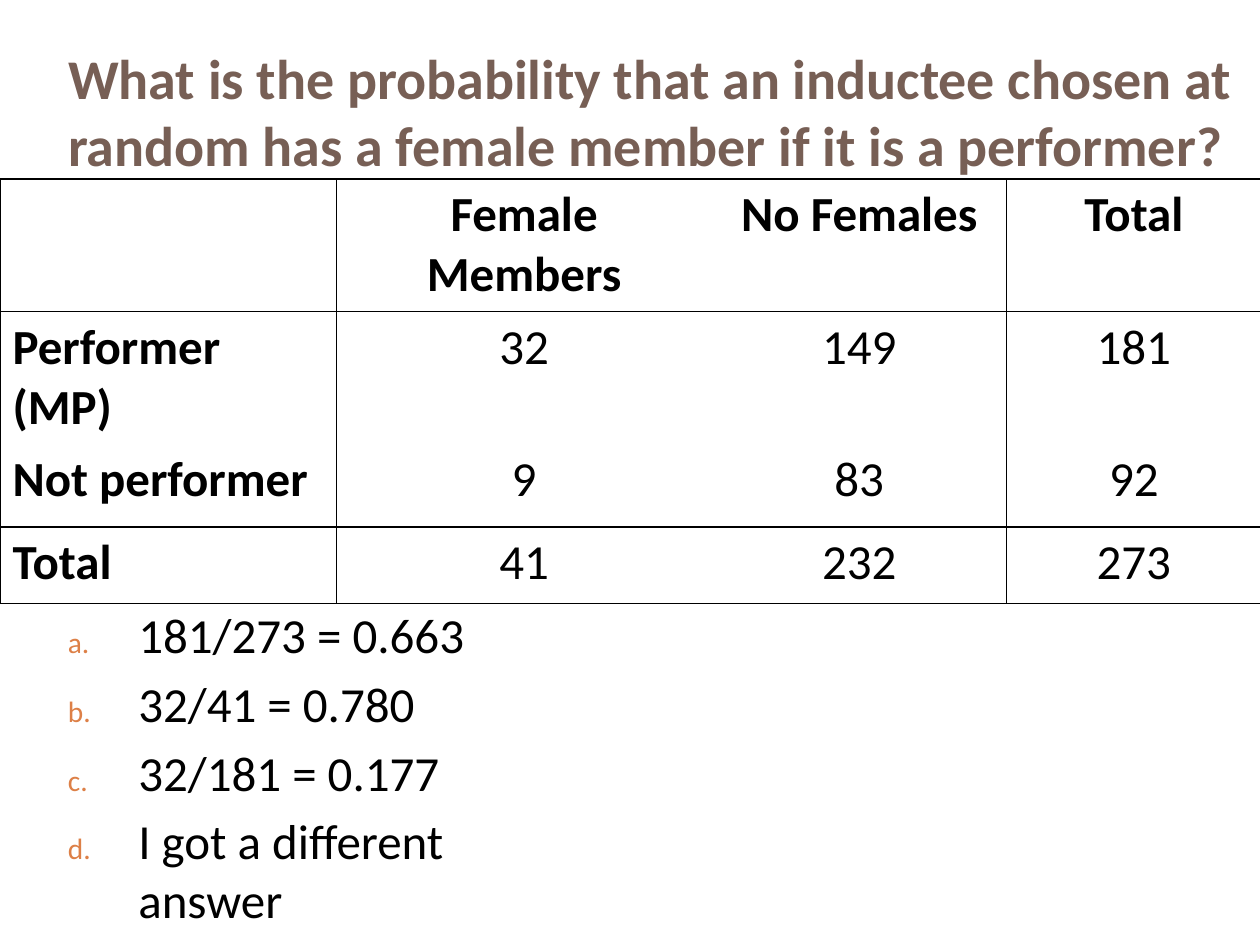
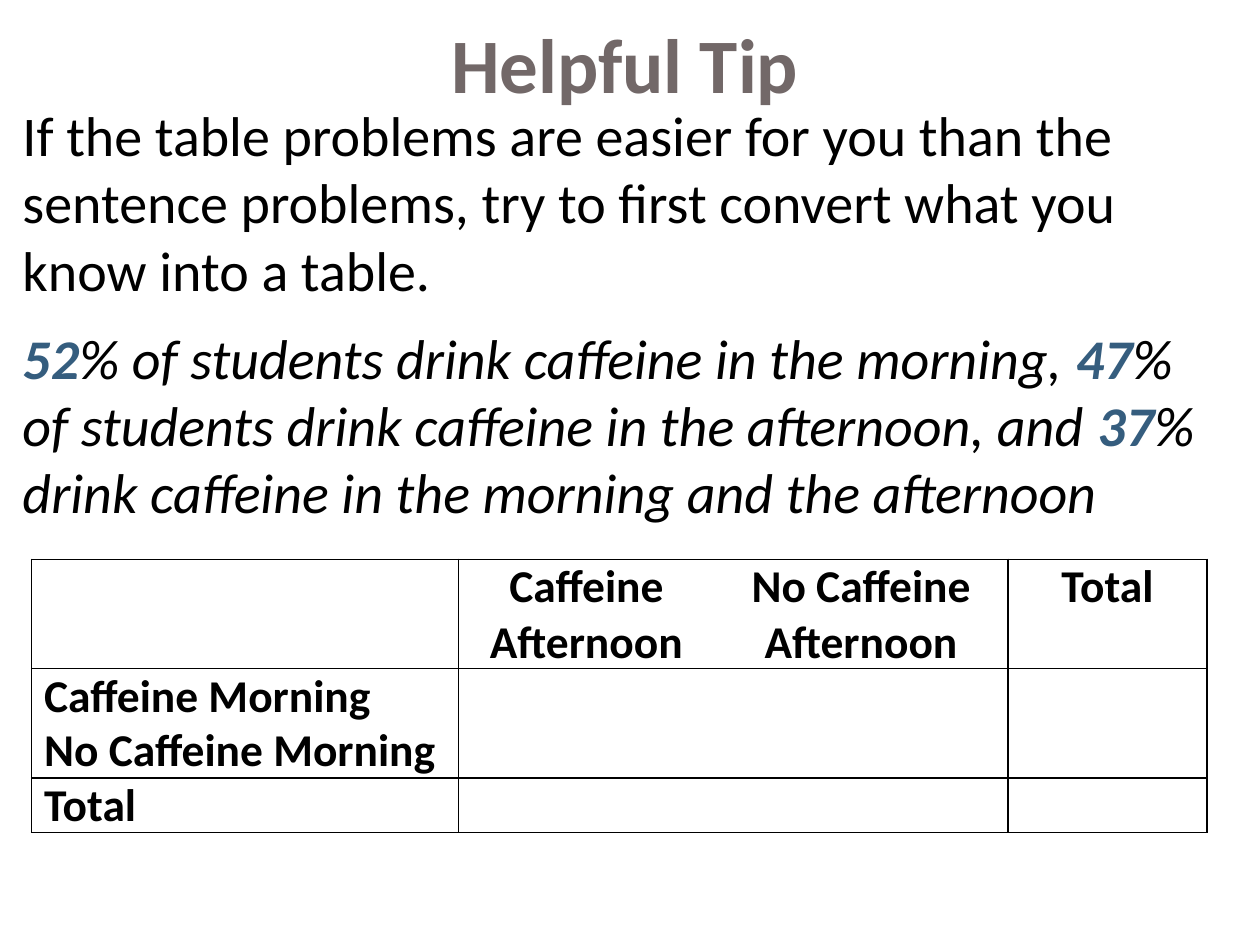
from dataclasses import dataclass

from lxml import etree
from pptx import Presentation
from pptx.dml.color import RGBColor
from pptx.enum import text as t
from pptx.oxml import ns
from pptx.util import Inches, Pt


@dataclass(frozen=True)
class Theme:
    font: str = "Calibri"
    ink: str = "000000"
    paper: str = "FFFFFF"
    brown: str = "775F55"
    grey: str = "726868"
    blue: str = "355D7E"
    orange: str = "DD8047"
    tip_title: int = 44
    large: int = 32
    body: int = 28
    compact: int = 26
    rule: int = 1


THEME = Theme()
CENTER = t.PP_ALIGN.CENTER

QUESTION = ("What is the probability that an inductee chosen at random "
            "has a female member if it is a performer?")
INDUCTEES = [
    ("", "Female Members", "No Females", "Total"),
    ("Performer (MP)", "32", "149", "181"),
    ("Not performer", "9", "83", "92"),
    ("Total", "41", "232", "273"),
]
ANSWERS = ["181/273 = 0.663", "32/41 = 0.780", "32/181 = 0.177",
           "I got a different answer"]

TIP_TITLE = "Helpful Tip"
TIP = ("If the table problems are easier for you than the sentence problems, "
       "try to first convert what you know into a table.")
SURVEY = [
    ("52", "% of students drink caffeine in the morning, "),
    ("47", "% of students drink caffeine in the afternoon, and "),
    ("37", "% drink caffeine in the morning and the afternoon"),
]
CAFFEINE = [
    ("", "Caffeine Afternoon", "No Caffeine Afternoon", "Total"),
    ("Caffeine Morning", "", "", ""),
    ("No Caffeine Morning", "", "", ""),
    ("Total", "", "", ""),
]


def add_span(para, text, size=THEME.body, color=THEME.ink, bold=False, italic=False):
    span = para.add_run()
    span.text = text
    font = span.font
    font.name, font.size = THEME.font, Pt(size)
    font.bold, font.italic = bold, italic
    font.color.rgb = RGBColor.from_string(color)


def add_child(parent, tag, **attributes):
    return etree.SubElement(parent, ns.qn(tag), attributes)


def indent(para, left, first=0.0):
    properties = para._p.get_or_add_pPr()
    properties.set("marL", str(Inches(left)))
    properties.set("indent", str(Inches(first)))
    return properties


def add_title(page, text, place, anchor, align, **style):
    title = page.shapes.title
    title.left, title.top, title.width, title.height = map(Inches, place)
    frame = title.text_frame
    frame.auto_size = t.MSO_AUTO_SIZE.NONE
    frame.vertical_anchor = anchor
    para = frame.paragraphs[0]
    para.alignment = align
    add_span(para, text, bold=True, **style)
    return para


def add_frame(page, place):
    frame = page.shapes.add_textbox(*map(Inches, place)).text_frame
    frame.word_wrap = True
    return frame


def add_paragraph(frame, first):
    return frame.paragraphs[0] if first else frame.add_paragraph()


def set_borders(cell, row, column):
    """Rule every edge except those between the two middle rows or columns."""
    edges = {"a:lnL": column != 2, "a:lnR": column != 1,
             "a:lnT": row != 2, "a:lnB": row != 1}
    properties = cell._tc.get_or_add_tcPr()
    for position, (tag, ruled) in enumerate(edges.items()):
        line = etree.Element(ns.qn(tag), w=str(Pt(THEME.rule)))
        if ruled:
            add_child(add_child(line, "a:solidFill"), "a:srgbClr", val=THEME.ink)
        else:
            add_child(line, "a:noFill")
        properties.insert(position, line)


def add_two_way_table(page, rows, left, top, widths, heights, size, padding):
    table = page.shapes.add_table(
        len(rows), len(widths), Inches(left), Inches(top),
        Inches(sum(widths)), Inches(sum(heights))).table
    table.first_row = table.horz_banding = False
    for column, width in zip(table.columns, widths):
        column.width = Inches(width)
    for r, (values, height) in enumerate(zip(rows, heights)):
        table.rows[r].height = Inches(height)
        for c, value in enumerate(values):
            cell = table.cell(r, c)
            cell.margin_top = cell.margin_bottom = Inches(padding)
            cell.fill.solid()
            cell.fill.fore_color.rgb = RGBColor.from_string(THEME.paper)
            set_borders(cell, r, c)
            if value:
                para = cell.text_frame.paragraphs[0]
                para.alignment = CENTER if c else t.PP_ALIGN.LEFT
                add_span(para, value, size=size, bold=r == 0 or c == 0)


def add_answers(page):
    frame = add_frame(page, (0, 4.75, 4.33, 2.75))
    for number, answer in enumerate(ANSWERS):
        para = add_paragraph(frame, number == 0)
        if number:
            para.space_before = Pt(5.6)
        properties = indent(para, 1, -0.56)
        add_child(add_child(properties, "a:buClr"), "a:srgbClr", val=THEME.orange)
        add_child(properties, "a:buSzPct", val="60000")
        add_child(properties, "a:buFont", typeface=THEME.font)
        add_child(properties, "a:buAutoNum", type="alphaLcPeriod")
        add_span(para, answer)


def add_tip(page):
    frame = add_frame(page, (0.08, 0.75, 9.75, 5))
    advice, survey = (add_paragraph(frame, first) for first in (True, False))
    advice.space_after = survey.space_after = Pt(12)
    add_span(advice, TIP, size=THEME.large)
    for percent, words in SURVEY:
        add_span(survey, percent, size=THEME.large, color=THEME.blue,
                 bold=True, italic=True)
        add_span(survey, words, size=THEME.large, italic=True)


def build_question(page):
    add_two_way_table(page, INDUCTEES, 0, 1.42, (2.67, 2.98, 2.34, 2.02),
                      (0.87, 0.61, 0.66, 0.61), THEME.body, padding=0.05)
    heading = add_title(page, QUESTION, (0, 0, 10.01, 1.75),
                        t.MSO_ANCHOR.MIDDLE, t.PP_ALIGN.LEFT,
                        size=THEME.large, color=THEME.brown)
    indent(heading, 0.44)
    add_answers(page)


def build_tip(page):
    add_title(page, TIP_TITLE, (0.5, 0.08, 8.92, 1.33), t.MSO_ANCHOR.TOP, CENTER,
              size=THEME.tip_title, color=THEME.grey)
    add_tip(page)
    add_two_way_table(page, CAFFEINE, 0.25, 4.44, (3.39, 2.03, 2.33, 1.58),
                      [0.3] * 4, THEME.compact, padding=0)


def main():
    deck = Presentation()
    deck.slide_width, deck.slide_height = Inches(10), Inches(7.5)
    title_only = deck.slide_layouts[5]
    for build in (build_question, build_tip):
        build(deck.slides.add_slide(title_only))
    deck.save("out.pptx")


if __name__ == "__main__":
    main()
